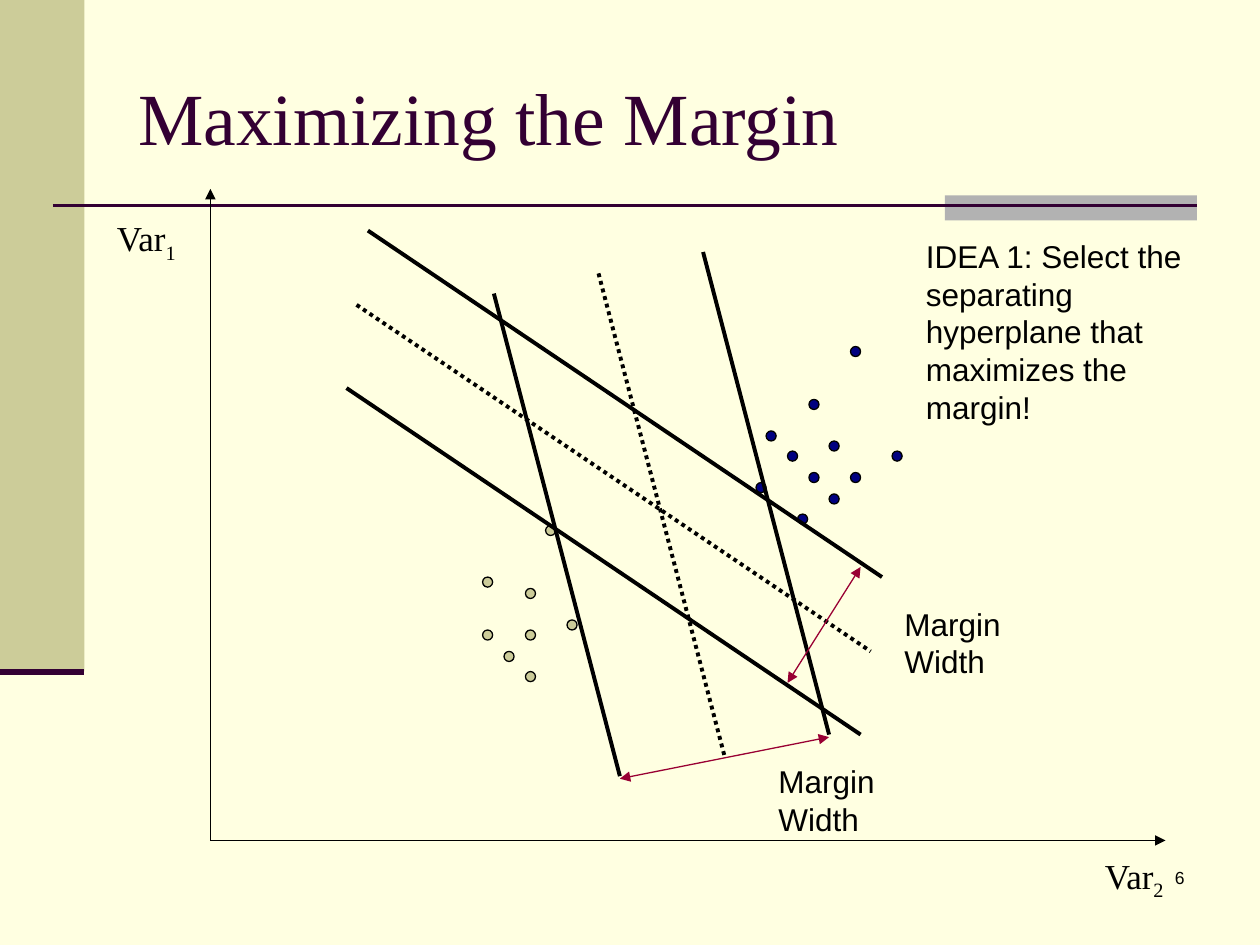
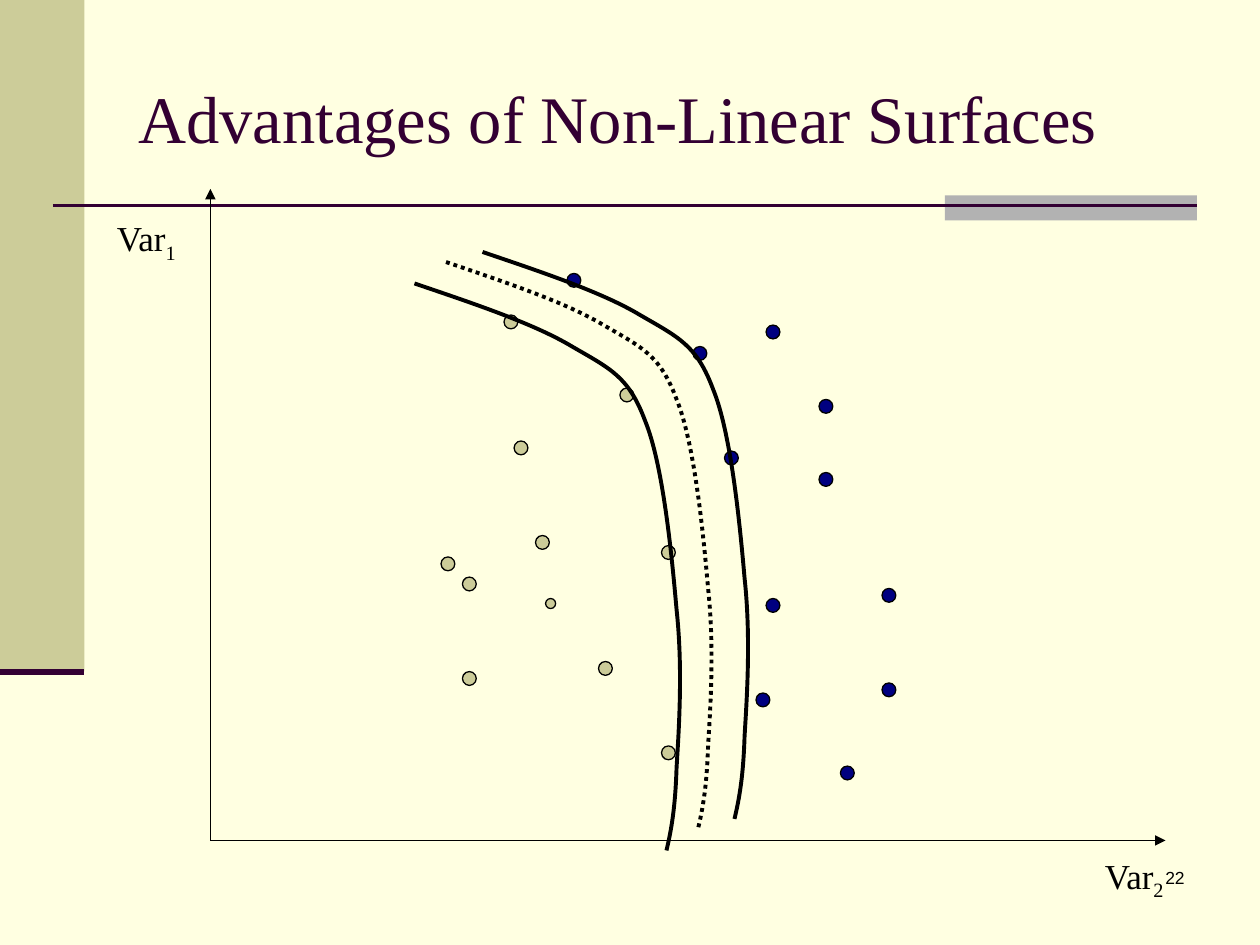
from lxml import etree
from pptx import Presentation
from pptx.dml.color import RGBColor
from pptx.enum.dml import MSO_LINE
from pptx.enum.shapes import MSO_CONNECTOR, MSO_SHAPE
from pptx.enum.text import MSO_ANCHOR, PP_ALIGN
from pptx.oxml.ns import qn
from pptx.util import Inches, Pt

RECT, OVAL = MSO_SHAPE.RECTANGLE, MSO_SHAPE.OVAL
STRAIGHT = MSO_CONNECTOR.STRAIGHT
DOTTED = MSO_LINE.ROUND_DOT
MIDDLE, TOP = MSO_ANCHOR.MIDDLE, MSO_ANCHOR.TOP
LEFT, RIGHT = PP_ALIGN.LEFT, PP_ALIGN.RIGHT

CREAM = RGBColor(0xFF, 0xFF, 0xE1)
KHAKI = RGBColor(0xCC, 0xCC, 0x99)
GRAY = RGBColor(0xB2, 0xB2, 0xB2)
PLUM = RGBColor(0x33, 0x00, 0x33)
NAVY = RGBColor(0x00, 0x00, 0x80)
CRIMSON = RGBColor(0x99, 0x00, 0x33)
BLACK = RGBColor(0, 0, 0)
SERIF, SANS = "Times New Roman", "Arial"

ORIGIN, X_END, Y_END = (1.67, 6.67), (9.25, 6.67), (1.67, 1.5)
AXIS_LABELS = [("1", 0.83, 1.67), ("2", 8.67, 6.73)]

# Left and top of each point's circle
LINEAR_POINTS = {
    KHAKI: [(3.83, 5), (4, 5.17), (4.17, 5), (4.17, 4.67), (4.33, 4.17),
            (4.5, 4.92), (4.17, 5.33), (3.83, 4.58)],
    NAVY: [(6.08, 3.42), (6.25, 3.58), (6.42, 3.75), (6.58, 3.92), (6.58, 3.5),
           (6.33, 4.08), (6.75, 3.75), (6, 3.83), (6.75, 2.75), (7.08, 3.58),
           (6.42, 3.17)],
}
CURVED_POINTS = {
    KHAKI: [(4.25, 4.25), (3.67, 5.33), (5.25, 5.92), (4.08, 3.5), (4, 2.5),
            (5.25, 4.33), (4.75, 5.25), (4.92, 3.08), (3.5, 4.42), (3.67, 4.58)],
    NAVY: [(5.5, 2.75), (5.75, 3.58), (6.5, 3.75), (6, 5.5), (7, 4.67),
           (6.08, 4.75), (6.67, 6.08), (4.5, 2.17), (6.08, 2.58), (7, 5.42),
           (6.5, 3.17)],
}
SMALL_DOT, LARGE_DOT = 0.08, 0.11
LONE_SMALL_POINT = (4.33, 4.75)

# Each family: common direction, then the starts of margin, separator, margin
HYPERPLANES = [
    ((1, 3.83), [(3.92, 2.33), (4.75, 2.17), (5.58, 2)]),
    ((4.08, 2.75), [(2.75, 3.08), (2.83, 2.42), (2.92, 1.83)]),
]
MARGIN_ARROWS = [((4.92, 6.18), (6.58, 5.85)), ((6.83, 4.5), (6.25, 5.42))]
NOTES = [
    ("Margin Width", (6.08, 6, 1.08, 0.7)),
    ("Margin Width", (7.08, 4.75, 1.08, 0.7)),
    ("IDEA 1: Select the separating hyperplane that maximizes the margin!",
     (7.25, 1.83, 2.33, 1.6)),
]

# Start of the separating curve, then three Bezier points per segment
SURFACE = [
    (3.54, 2.08),
    (4.01, 2.24), (4.49, 2.4), (4.79, 2.58),
    (5.1, 2.76), (5.24, 2.82), (5.37, 3.17),
    (5.51, 3.51), (5.58, 4.21), (5.62, 4.67),
    (5.67, 5.13), (5.64, 5.6), (5.62, 5.92),
    (5.61, 6.24), (5.58, 6.41), (5.54, 6.58),
]
SURFACE_OFFSETS = [(-0.25, 0.17), (0, 0), (0.29, -0.08)]
MARGIN_DASHES = [None, DOTTED, None]


def style_line(line, color, width, dash=None):
    line.color.rgb = color
    line.width = Pt(width)
    if dash is not None:
        line.dash_style = dash


def add_line(slide, start, end, color, width, dash=None, arrows=()):
    """Draw a straight line; arrows names its ends: headEnd, tailEnd."""
    c = slide.shapes.add_connector(STRAIGHT, *map(Inches, start + end))
    style_line(c.line, color, width, dash)
    spPr = c._element.spPr
    for arrow in arrows:
        etree.SubElement(spPr.find(qn("a:ln")), qn("a:" + arrow), type="triangle")
    etree.SubElement(spPr, qn("a:effectLst"))


def add_filled(slide, preset, box, color, outline=None):
    sp = slide.shapes.add_shape(preset, *map(Inches, box))
    sp.shadow.inherit = False
    sp.fill.solid()
    sp.fill.fore_color.rgb = color
    if outline is None:
        sp.line.fill.background()
    else:
        style_line(sp.line, outline, 0.75)


def add_text(slide, box, text, font, size, color=BLACK, align=LEFT, anchor=TOP):
    tf = slide.shapes.add_textbox(*map(Inches, box)).text_frame
    tf.word_wrap = True
    tf.vertical_anchor = anchor
    p = tf.paragraphs[0]
    p.text = text
    p.alignment = align
    p.font.name = font
    p.font.size = Pt(size)
    p.font.color.rgb = color
    return p


def add_points(slide, points, size):
    for color, corners in points.items():
        for x, y in corners:
            add_filled(slide, OVAL, (x, y, size, size), color, BLACK)


def add_curve(slide, points, dash):
    """Lay a freeform through the points, then turn each three into a Bezier."""
    start, *rest = [(Inches(x), Inches(y)) for x, y in points]
    builder = slide.shapes.build_freeform(*start)
    builder.add_line_segments(rest, close=False)
    sp = builder.convert_to_shape()
    sp.shadow.inherit = False
    sp.fill.background()
    style_line(sp.line, BLACK, 2.25, dash)
    steps = list(sp._element.iter(qn("a:lnTo")))
    outline = steps[0].getparent()
    for i in range(0, len(steps), 3):
        bezier = etree.SubElement(outline, qn("a:cubicBezTo"))
        for step in steps[i:i + 3]:
            bezier.append(step[0])
            outline.remove(step)


def add_plot_slide(prs, title, title_size, number):
    """Add a slide with the shared decoration, title, number and axes."""
    slide = prs.slides.add_slide(prs.slide_layouts[6])
    slide.background.fill.solid()
    slide.background.fill.fore_color.rgb = CREAM
    add_filled(slide, RECT, (0, 0, 0.67, 5.33), KHAKI)
    add_filled(slide, RECT, (7.5, 1.55, 2, 0.2), GRAY)
    add_line(slide, (0.42, 1.63), (9.5, 1.63), PLUM, 1.5)
    add_line(slide, (0, 5.33), (0.67, 5.33), PLUM, 3.5)
    add_text(slide, (1, 0.3, 8.5, 1.25), title, SERIF, title_size, PLUM,
             anchor=MIDDLE)
    add_text(slide, (7.42, 6.83, 2.08, 0.5), str(number), SANS, 10, align=RIGHT)
    for end in (X_END, Y_END):
        add_line(slide, ORIGIN, end, BLACK, 0.75, arrows=["tailEnd"])
    for index, x, y in AXIS_LABELS:
        p = add_text(slide, (x, y, 0.75, 0.48), "Var", SERIF, 20)
        r = p.add_run()
        r.text = index
        r._r.get_or_add_rPr().set("baseline", "-25000")
    return slide


def add_margin_slide(prs):
    slide = add_plot_slide(prs, "Maximizing the Margin", 42, 6)
    add_points(slide, LINEAR_POINTS, SMALL_DOT)
    for (dx, dy), starts in HYPERPLANES:
        for (x, y), dash in zip(starts, MARGIN_DASHES):
            add_line(slide, (x, y), (x + dx, y + dy), BLACK, 2.25, dash)
    for start, end in MARGIN_ARROWS:
        add_line(slide, start, end, CRIMSON, 0.75, arrows=["headEnd", "tailEnd"])
    for text, box in NOTES:
        add_text(slide, box, text, SANS, 18)


def add_surface_slide(prs):
    slide = add_plot_slide(prs, "Advantages of Non-Linear Surfaces", 38, 22)
    add_points(slide, CURVED_POINTS, LARGE_DOT)
    add_points(slide, {KHAKI: [LONE_SMALL_POINT]}, SMALL_DOT)
    for (dx, dy), dash in zip(SURFACE_OFFSETS, MARGIN_DASHES):
        add_curve(slide, [(x + dx, y + dy) for x, y in SURFACE], dash)


def main():
    prs = Presentation()
    prs.slide_width, prs.slide_height = Inches(10), Inches(7.5)
    add_margin_slide(prs)
    add_surface_slide(prs)
    prs.save("out.pptx")


if __name__ == "__main__":
    main()
